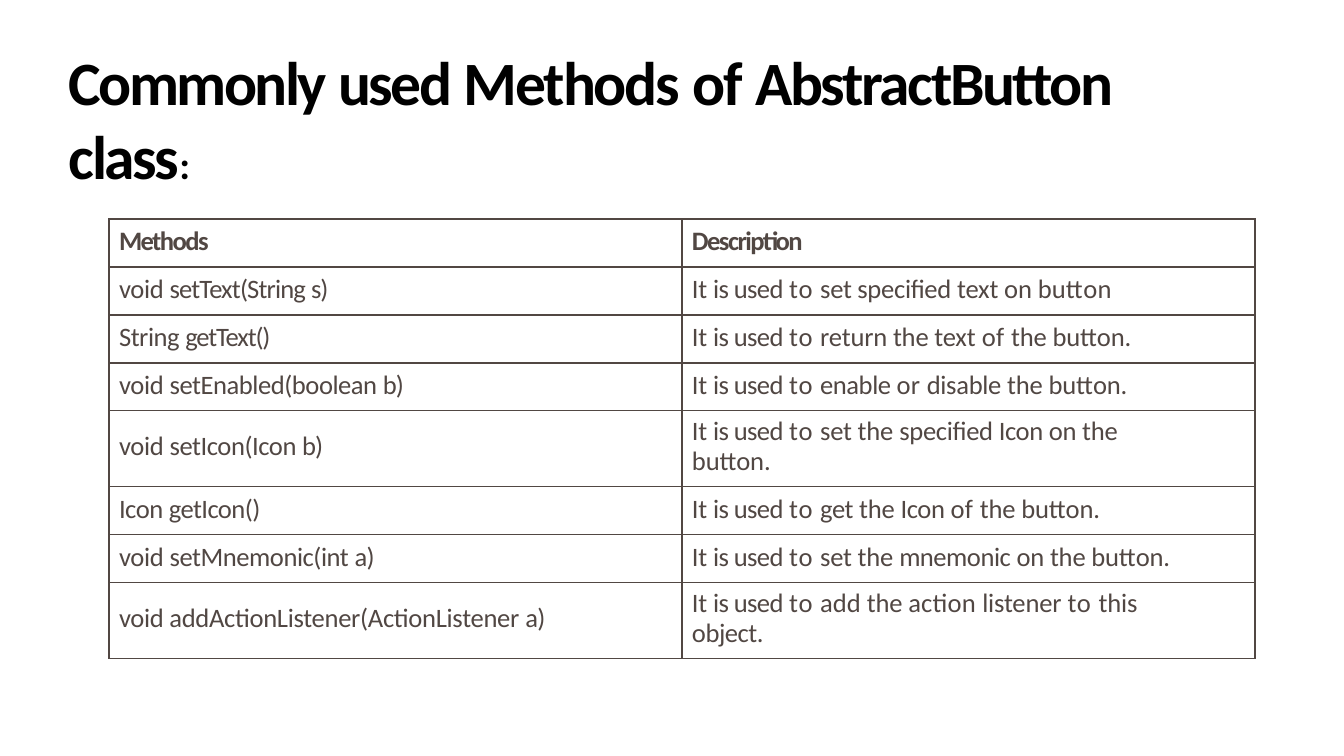
from lxml import etree
from pptx import Presentation
from pptx.dml.color import RGBColor
from pptx.enum.text import MSO_ANCHOR
from pptx.oxml.ns import qn
from pptx.util import Emu, Pt

MIDDLE = MSO_ANCHOR.MIDDLE
FONT = "Calibri"
BLACK = "000000"
BROWN = "514743"
SCALE = 914400 / 100.8

TITLE = [("Commonly ", -1.9), ("used ", -1.8), ("Methods ", -1.6), ("of ", -1.1),
         ("AbstractButton ", -1.7), ("class", -1.8)]
USED_TO = [("It ", -0.2), ("is used ", -0.4), ("to ", 0.6)]
HEADER = ([("Methods", -1.1)], [("Description", -1.1)])
METHODS = [
    ([("void ", -0.2), ("setText(String ", -0.6), ("s)", -0.8)],
     [("set specified ", -0.2), ("text on ", -0.1), ("button", 0.1)]),
    ([("String ", -0.3), ("getText()", -0.8)],
     [("return the text ", -0.1), ("of ", 0.3), ("the button.", -0.1)]),
    ([("void ", -0.2), ("setEnabled(boolean ", -0.3), ("b)", -0.6)],
     [("enable ", -0.3), ("or ", 0.2), ("disable ", -0.2), ("the button.", -0.1)]),
    ([("void ", -0.2), ("setIcon(Icon ", -0.3), ("b)", -0.6)],
     [("set ", -0.2), ("the ", -0.1), ("specified ", -0.2), ("Icon ", -0.3),
      ("on the button.", -0.1)]),
    ([("Icon ", -0.3), ("getIcon()", -0.4)],
     [("get ", -0.3), ("the ", -0.1), ("Icon ", -0.3), ("of ", 0.3),
      ("the button.", -0.1)]),
    ([("void ", -0.2), ("setMnemonic(int ", -0.3), ("a)", -0.5)],
     [("set ", -0.2), ("the ", -0.1), ("mnemonic ", -0.3), ("on the button.", -0.1)]),
    ([("void addActionListener(ActionListener ", -0.2), ("a)", -0.5)],
     [("add ", 0), ("the ", -0.1), ("action ", 0.1), ("listener ", -0.1),
      ("to ", 0.6), ("this ", -0.1), ("object.", -0.3)]),
]
TWO_LINE_ROWS = (4, 7)


def px(n):
    """Turn px into EMU."""
    return Emu(round(n * SCALE))


def rgb(color):
    """Turn a hex string into a colour."""
    return RGBColor.from_string(color)


def set_margins(frame, top, right=0):
    """Set the insets of a text frame or a cell."""
    frame.margin_left = frame.margin_bottom = 0
    frame.margin_top, frame.margin_right = px(top), px(right)


def format_paragraph(p, indent, before):
    """Set the left indent and the space before a paragraph."""
    pPr = p._p.get_or_add_pPr()
    pPr.set("marL", str(px(indent)))
    pPr.set("indent", "0")
    p.space_before = Pt(before)


def add_runs(p, runs, size, color, bold):
    """Add runs of text, each with its letter spacing in points."""
    for text, spacing in runs:
        r = p.add_run()
        r.text = text
        r.font.name, r.font.size, r.font.bold = FONT, Pt(size), bold
        r.font.color.rgb = rgb(color)
        r._r.get_or_add_rPr().set("spc", str(round(spacing * 100)))


def add_borders(cell, color):
    """Draw a one point line on each side of a cell."""
    tcPr = cell._tc.get_or_add_tcPr()
    for i, side in enumerate(("lnL", "lnR", "lnT", "lnB")):
        ln = etree.Element(qn("a:" + side), w=str(Pt(1)))
        fill = etree.SubElement(ln, qn("a:solidFill"))
        etree.SubElement(fill, qn("a:srgbClr"), val=color)
        tcPr.insert(i, ln)


def fill_cell(cell, runs, bold=False, centred=False, wrapped=False):
    """Write one table cell."""
    cell.fill.background()
    add_borders(cell, BROWN)
    set_margins(cell, 19 if centred else 6, 60 if wrapped else 0)
    p = cell.text_frame.paragraphs[0]
    format_paragraph(p, 10, 13.4 if centred else 4.2)
    if wrapped:
        p.line_spacing = Pt(21.6)
    add_runs(p, runs, 19, BROWN, bold)


def add_title(s):
    """Add the slide title."""
    sp = s.shapes.add_textbox(px(68), px(42), px(1142), px(150))
    tf = sp.text_frame
    tf.word_wrap = True
    tf.vertical_anchor = MIDDLE
    set_margins(tf, 1)
    p = tf.paragraphs[0]
    format_paragraph(p, 1, 0.9)
    add_runs(p, TITLE, 44, BLACK, True)
    add_runs(p, [(":", -1.8)], 28, BLACK, True)


def add_methods_table(s):
    """Add the table of methods and their descriptions."""
    rows = [HEADER] + [(method, USED_TO + use) for method, use in METHODS]
    heights = [76 if i in TWO_LINE_ROWS else 48 for i in range(len(rows))]
    table = s.shapes.add_table(len(rows), 2, px(109), px(219), px(1146),
                               px(sum(heights))).table
    table.first_row = table.horz_banding = False
    for column in table.columns:
        column.width = px(573)
    for i, (method, description) in enumerate(rows):
        table.rows[i].height = px(heights[i])
        tall = i in TWO_LINE_ROWS
        fill_cell(table.cell(i, 0), method, bold=i == 0, centred=tall)
        fill_cell(table.cell(i, 1), description, bold=i == 0, wrapped=tall)


def main():
    """Build the slide and save it."""
    prs = Presentation()
    prs.slide_width, prs.slide_height = px(1344), px(756)
    s = prs.slides.add_slide(prs.slide_layouts[6])
    add_methods_table(s)
    add_title(s)
    prs.save("out.pptx")


if __name__ == "__main__":
    main()
